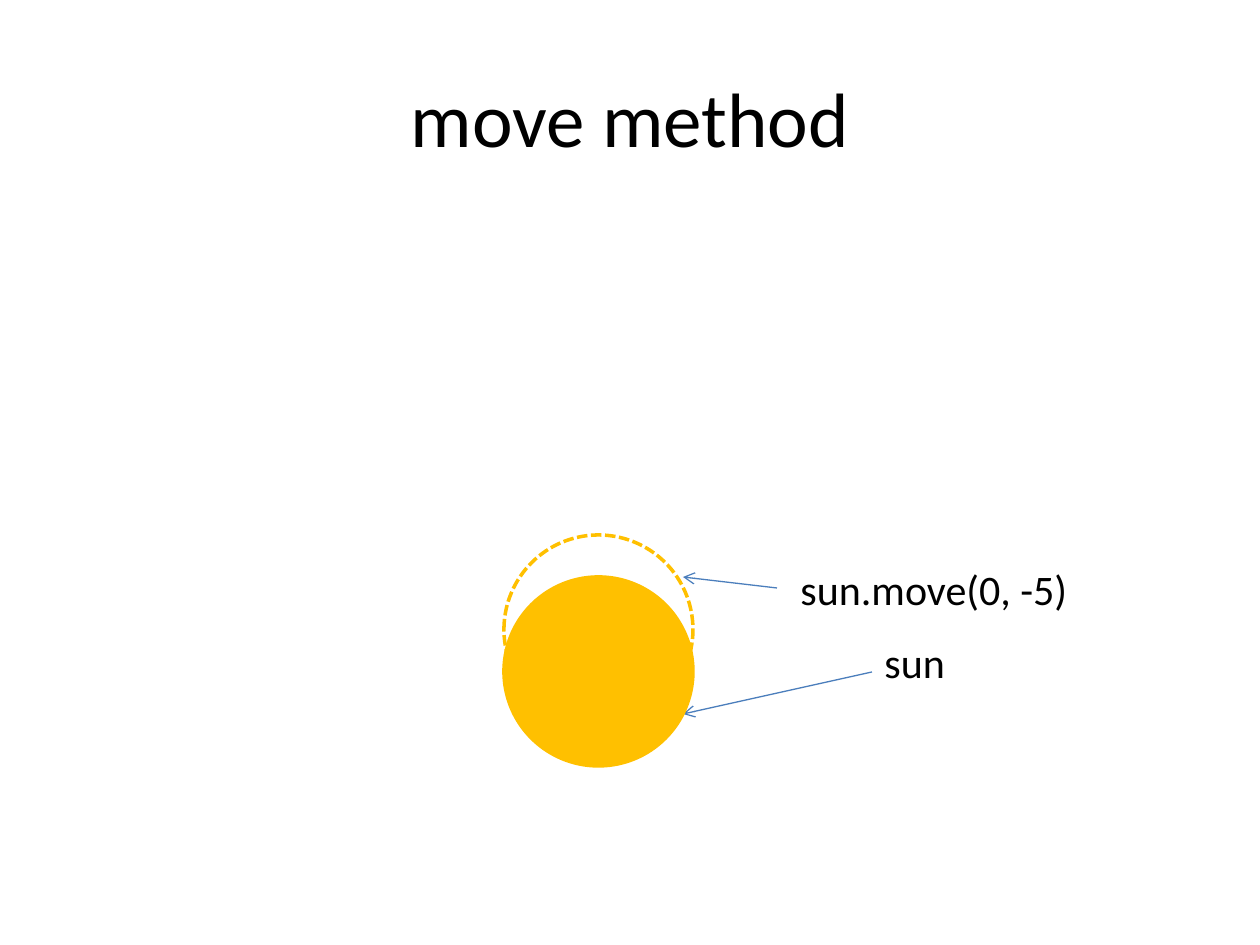
from lxml import etree
from pptx import Presentation
from pptx import util as u
from pptx.dml.color import RGBColor
from pptx.enum import dml, shapes, text
from pptx.oxml.ns import qn

PX = u.Inches(1) // 126
COLORS = {"text": "000000", "sun": "FFC000", "sky": "FFFFFF", "arrow": "4B7EBC"}


def rgb(name):
    return RGBColor.from_string(COLORS[name])


class SlideBuilder:
    font = "Calibri"

    def __init__(self, slide):
        self.slide = slide

    def set_words(self, frame, words, size):
        frame.text = words
        paragraph = frame.paragraphs[0]
        paragraph.font.name = self.font
        paragraph.font.size = u.Pt(size)
        paragraph.font.color.rgb = rgb("text")
        return paragraph

    def title(self, words, left, top, width, height):
        heading = self.slide.shapes.title
        heading.left, heading.top = left * PX, top * PX
        heading.width, heading.height = width * PX, height * PX
        heading.text_frame.vertical_anchor = text.MSO_ANCHOR.MIDDLE
        self.set_words(heading.text_frame, words, 44).alignment = text.PP_ALIGN.CENTER

    def label(self, words, left, top, width, height=63):
        box = self.slide.shapes.add_textbox(left * PX, top * PX, width * PX, height * PX)
        box.text_frame.word_wrap = False
        box.text_frame.auto_size = text.MSO_AUTO_SIZE.SHAPE_TO_FIT_TEXT
        self.set_words(box.text_frame, words, 24)

    def circle(self, left, top, diameter, fill, dash=None):
        disc = self.slide.shapes.add_shape(
            shapes.MSO_SHAPE.OVAL, left * PX, top * PX, diameter * PX, diameter * PX)
        disc.shadow.inherit = False
        disc.fill.solid()
        disc.fill.fore_color.rgb = rgb(fill)
        disc.line.color.rgb = rgb("sun")
        disc.line.width = u.Pt(2)
        if dash:
            disc.line.dash_style = dash

    def arrow(self, x1, y1, x2, y2):
        pointer = self.slide.shapes.add_connector(
            shapes.MSO_CONNECTOR.STRAIGHT, x1 * PX, y1 * PX, x2 * PX, y2 * PX)
        pointer.line.color.rgb = rgb("arrow")
        pointer.line.width = u.Pt(0.75)
        outline = pointer._element.spPr.find(qn("a:ln"))
        etree.SubElement(outline, qn("a:tailEnd"), type="arrow")
        etree.SubElement(pointer._element.spPr, qn("a:effectLst"))


def main():
    deck = Presentation()
    deck.slide_width, deck.slide_height = u.Inches(10), u.Inches(7.5)
    page = SlideBuilder(deck.slides.add_slide(deck.slide_layouts[5]))

    page.title("move method", 63, 38, 1134, 157)

    # Current position label, drawn behind the sun
    page.arrow(872, 672, 683, 714)
    page.label("sun", 872, 630, 87)

    # Sun after the move (dashed) and before it (solid)
    page.circle(504, 535, 189, "sky", dash=dml.MSO_LINE.SQUARE_DOT)
    page.circle(504, 577, 189, "sun")

    # Moved position label
    page.label("sun.move(0, -5)", 788, 557, 295)
    page.arrow(777, 588, 683, 577)

    deck.save("out.pptx")


if __name__ == "__main__":
    main()
